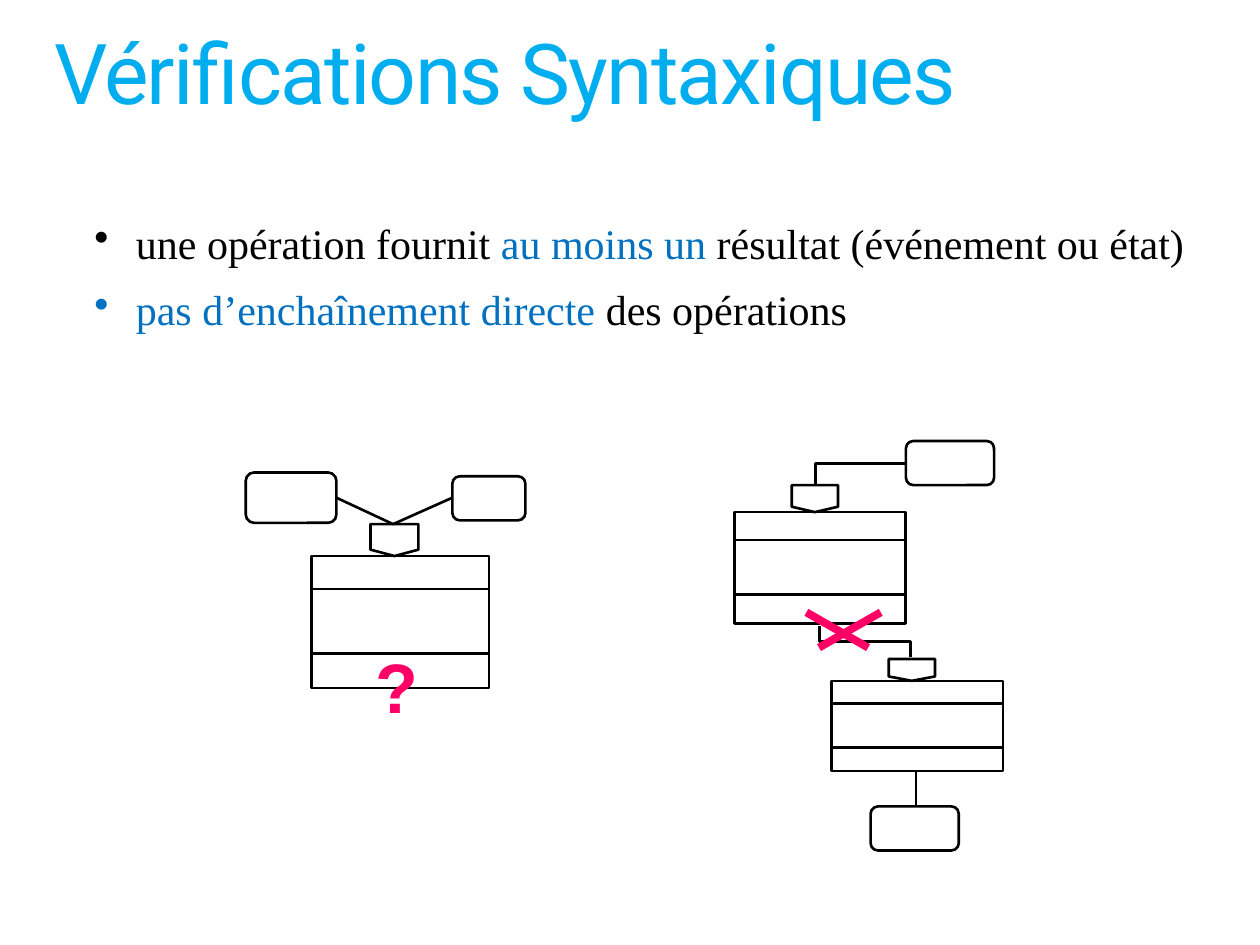
from pptx import Presentation
from pptx.dml.color import RGBColor
from pptx.enum.shapes import MSO_CONNECTOR, MSO_SHAPE
from pptx.oxml.ns import qn
from pptx.util import Inches, Pt
from lxml import etree

STRAIGHT, ELBOW = MSO_CONNECTOR.STRAIGHT, MSO_CONNECTOR.ELBOW
RECT, ROUNDED = MSO_SHAPE.RECTANGLE, MSO_SHAPE.ROUNDED_RECTANGLE
TRIGGER = MSO_SHAPE.FLOWCHART_OFFPAGE_CONNECTOR

COLORS = {"title": "00AEEF", "ink": "000000", "accent": "0070C0", "error": "FF0066"}

# The slide is a grid of 100 columns by 75 rows
COLUMNS, ROWS = 100, 75
SLIDE_W, SLIDE_H = Inches(10), Inches(7.5)


def col(n):
    return round(SLIDE_W * n / COLUMNS)


def row(n):
    return round(SLIDE_H * n / ROWS)


def place(box):
    left, top, width, height = box
    return col(left), row(top), col(width), row(height)


def color(name):
    return RGBColor.from_string(COLORS[name])


def add_text(slide, box, paragraphs, size, font, bold=False, spacing=None,
             line_spacing=None, space_before=None, bullet=False,
             insets=(0.1, 0.05), wrap=True):
    """Each paragraph is a list of (text, colour name) runs."""
    frame = slide.shapes.add_textbox(*place(box)).text_frame
    frame.word_wrap = wrap
    frame.margin_left = frame.margin_right = Inches(insets[0])
    frame.margin_top = frame.margin_bottom = Inches(insets[1])
    for i, runs in enumerate(paragraphs):
        paragraph = frame.add_paragraph() if i else frame.paragraphs[0]
        paragraph.line_spacing = line_spacing
        paragraph.space_before = space_before
        if bullet:
            props = paragraph._p.get_or_add_pPr()
            props.set("marL", str(Inches(0.98)))
            props.set("indent", str(Inches(-0.33)))
            etree.SubElement(props, qn("a:buChar")).set("char", "•")
        for words, tint in runs:
            run = paragraph.add_run()
            run.text = words
            run.font.size, run.font.name, run.font.bold = Pt(size), font, bold
            run.font.color.rgb = color(tint)
            if spacing is not None:
                run._r.get_or_add_rPr().set("spc", str(round(spacing * 100)))


def add_outline(slide, kind, box):
    outline = slide.shapes.add_shape(kind, *place(box))
    outline.shadow.inherit = False
    outline.fill.background()
    outline.line.color.rgb = color("ink")
    outline.line.width = Pt(1.5)


def add_line(slide, start, end, tint="ink", weight=1.5, kind=STRAIGHT):
    line = slide.shapes.add_connector(
        kind, col(start[0]), row(start[1]), col(end[0]), row(end[1]))
    line.line.color.rgb = color(tint)
    line.line.width = Pt(weight)
    etree.SubElement(line._element.spPr, qn("a:effectLst"))
    return line


def add_elbow(slide, box, preset, degrees, flip):
    """An elbow whose unrotated frame is box."""
    left, top, width, height = box
    elbow = add_line(slide, (left, top), (left + width, top + height), kind=ELBOW)
    props = elbow._element.spPr
    frame = props.find(qn("a:xfrm"))
    frame.set("rot", str(degrees * 60000))
    frame.set(flip, "1")
    props.find(qn("a:prstGeom")).set("prst", preset)


def add_operation(slide, box):
    """A trigger on top of a body of three bands."""
    left, top, width, height = box
    trigger_h = 0.195 * height
    add_outline(slide, TRIGGER, (left + width / 3, top, 0.27 * width, trigger_h))
    band_top = top + trigger_h
    for share in (0.25, 0.49, 0.26):
        band_h = share * (height - trigger_h)
        add_outline(slide, RECT, (left, band_top, width, band_h))
        band_top += band_h


def add_missing_result(slide, box):
    """Two events trigger an operation that gives no result."""
    left, top, width, height = box
    join = (left + 11.7, top + 4.1)
    for start in (left + 7.2, left + 16.4):
        add_line(slide, (start, top + 2), join)
    add_operation(slide, (left + 5.2, top + 4.1, 14.1, 13))
    add_outline(slide, ROUNDED, (left, top, 7.2, 4))
    add_outline(slide, ROUNDED, (left + 16.4, top + 0.3, width - 16.4, 3.5))
    add_text(slide, (left + 9.3, top + height - 7.7, 5.4, 7.7), [[("?", "error")]],
             40, "Arial", bold=True, wrap=False)


def add_direct_chain(slide, box):
    """Two operations linked directly, with the link crossed out."""
    left, top, width, height = box
    event_w, event_h = 7, 3.5
    add_operation(slide, (left, top + 3.5, 13.6, 11))
    add_operation(slide, (left + width - 13.6, top + 17.3, 13.6, 8.9))
    add_elbow(slide, (left + 9.1, top + 12.3, 2.5, 7.2), "bentConnector3", 270, "flipH")
    # First event
    add_outline(slide, ROUNDED, (left + 13.6, top, event_w, event_h))
    add_elbow(slide, (left + 6.4, top + 1.8, 7.1, 1.6), "bentConnector2", 180, "flipV")
    # Cross over the link
    cross_top, cross_bottom = top + 13.6, top + 16.4
    add_line(slide, (left + 6.7, cross_bottom), (left + 11.6, cross_top), "error", 4.5)
    add_line(slide, (left + 5.7, cross_top), (left + 10.6, cross_bottom), "error", 4.5)
    # Final event
    add_outline(slide, ROUNDED, (left + 10.8, top + height - event_h, event_w, event_h))
    add_line(slide, (left + 14.4, top + 26.3), (left + 14.4, top + 28.9), weight=1)


def add_heading(slide, box):
    add_text(slide, box, [[("Vérifications Syntaxiques", "title")]], 48, "Roboto",
             spacing=-1, line_spacing=0.9, insets=(0, 0))


def add_rules(slide, box):
    rules = [
        [("une opération fournit ", "ink"), ("au moins un", "accent"),
         (" résultat (événement ou état)", "ink")],
        [("pas d’enchaînement directe", "accent"), (" des opérations", "ink")],
    ]
    add_text(slide, box, rules, 24, "Times New Roman", line_spacing=0.9,
             space_before=Pt(12), bullet=True)


def main():
    deck = Presentation()
    deck.slide_width, deck.slide_height = SLIDE_W, SLIDE_H
    slide = deck.slides.add_slide(deck.slide_layouts[6])
    add_heading(slide, (4.3, 2.5, 91.5, 7.3))
    add_rules(slide, (0, 17.2, 96.1, 10))
    add_missing_result(slide, (19.5, 37.5, 22.2, 20.8))
    add_direct_chain(slide, (58.3, 35, 21.3, 32.5))
    deck.save("out.pptx")


if __name__ == "__main__":
    main()
